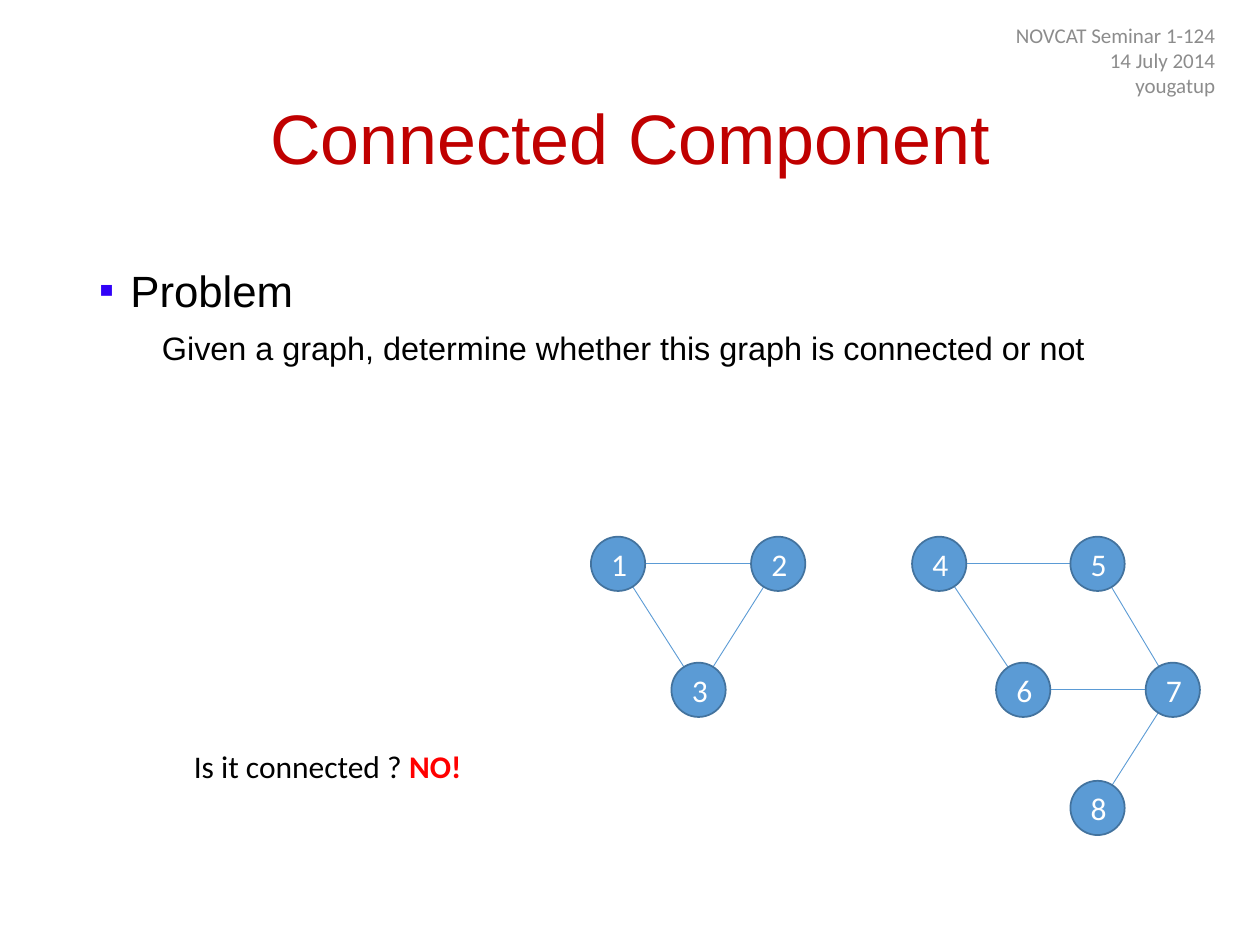
from lxml.etree import SubElement
from pptx import Presentation
from pptx.dml.color import RGBColor
from pptx.enum.shapes import MSO_CONNECTOR as CONN, MSO_SHAPE as SHAPE
from pptx.enum.text import MSO_ANCHOR as ANCHOR, PP_ALIGN as ALIGN
from pptx.oxml.ns import qn
from pptx.util import Pt

RED = RGBColor(0xC0, 0x00, 0x00)
BRIGHT_RED = RGBColor(0xFF, 0x00, 0x00)
BLACK = RGBColor(0x00, 0x00, 0x00)
WHITE = RGBColor(0xFF, 0xFF, 0xFF)
GRAY = RGBColor(0x8C, 0x8C, 0x8C)
BLUE = RGBColor(0x5B, 0x9B, 0xD5)
DARK_BLUE = RGBColor(0x43, 0x73, 0x9E)
BULLET = RGBColor(0x31, 0x02, 0xF8)

NODE_SIZE = 31
TOP, MIDDLE, BOTTOM = 15.5, 87.5, 155
NODES = {
    "1": (15.5, TOP), "2": (107, TOP), "3": (61.5, MIDDLE),
    "4": (199, TOP), "5": (289.5, TOP), "6": (247, MIDDLE),
    "7": (332.5, MIDDLE), "8": (289.5, BOTTOM),
}
EDGES = ["12", "13", "32", "45", "46", "67", "57", "78"]


def add_text(p, text, size=18, color=BLACK, font="Calibri", bold=False):
    """Append a formatted run to a paragraph."""
    r = p.add_run()
    r.text = text
    r.font.size = Pt(size)
    r.font.name = font
    r.font.bold = bold
    r.font.color.rgb = color


def add_box(s, x, y, w, h, anchor=ANCHOR.TOP, wrap=True):
    """Add an empty text box and return its text frame."""
    tf = s.shapes.add_textbox(Pt(x), Pt(y), Pt(w), Pt(h)).text_frame
    tf.word_wrap = wrap
    tf.vertical_anchor = anchor
    return tf


def set_bullet(p, char, color, indent):
    """Give a paragraph a coloured hanging bullet."""
    pPr = p._p.get_or_add_pPr()
    pPr.set("marL", str(Pt(indent)))
    pPr.set("indent", str(-Pt(indent)))
    clr = SubElement(pPr, qn("a:buClr"))
    SubElement(clr, qn("a:srgbClr")).set("val", str(color))
    SubElement(pPr, qn("a:buFont")).set("typeface", "Arial")
    SubElement(pPr, qn("a:buChar")).set("char", char)


def add_title(s, x, y, w, h):
    """Place the centred slide title."""
    p = add_box(s, x, y, w, h, ANCHOR.MIDDLE).paragraphs[0]
    p.alignment = ALIGN.CENTER
    p.line_spacing = 0.9
    add_text(p, "Connected Component", size=40, color=RED, font="Arial")


def add_header(s, x, y, w, h):
    """Place the right-aligned seminar details."""
    tf = add_box(s, x, y, w, h, ANCHOR.MIDDLE)
    lines = ["NOVCAT Seminar 1-124", "14 July 2014", "yougatup"]
    for i, line in enumerate(lines):
        p = tf.add_paragraph() if i else tf.paragraphs[0]
        p.alignment = ALIGN.RIGHT
        add_text(p, line, size=12, color=GRAY)


def add_problem(s, x, y, w, h):
    """Place the problem heading and its statement."""
    tf = add_box(s, x, y, w, h)
    heading, statement = tf.paragraphs[0], tf.add_paragraph()
    for p, before in ((heading, 10), (statement, 5)):
        p.line_spacing = 1.1
        p.space_before = Pt(before)
    set_bullet(heading, "▪", BULLET, 18)
    add_text(heading, "Problem", size=25, font="Arial")
    statement._p.get_or_add_pPr().set("marL", str(Pt(36)))
    add_text(statement, "Given a graph, determine whether this graph is connected or not",
             size=18.5, font="Arial")


def add_edge(s, x1, y1, x2, y2):
    """Draw a thin edge between two points."""
    c = s.shapes.add_connector(CONN.STRAIGHT, Pt(x1), Pt(y1), Pt(x2), Pt(y2))
    c.line.color.rgb = BLUE
    c.line.width = Pt(0.5)
    SubElement(c._element.spPr, qn("a:effectLst"))


def add_node(s, cx, cy, label):
    """Draw a labelled node around its centre."""
    sp = s.shapes.add_shape(SHAPE.OVAL, Pt(cx - NODE_SIZE / 2), Pt(cy - NODE_SIZE / 2),
                            Pt(NODE_SIZE), Pt(NODE_SIZE))
    sp.shadow.inherit = False
    sp.fill.solid()
    sp.fill.fore_color.rgb = BLUE
    sp.line.color.rgb = DARK_BLUE
    sp.line.width = Pt(1)
    sp.text_frame.vertical_anchor = ANCHOR.MIDDLE
    p = sp.text_frame.paragraphs[0]
    p.alignment = ALIGN.CENTER
    add_text(p, label, color=WHITE)


def add_graph(s, x, y):
    """Draw the edges, then the nodes over them."""
    centers = {n: (x + dx, y + dy) for n, (dx, dy) in NODES.items()}
    for start, end in EDGES:
        add_edge(s, *centers[start], *centers[end])
    for label, center in centers.items():
        add_node(s, *center, label)


def add_question(s, x, y, w, h):
    """Place the question and its answer."""
    p = add_box(s, x, y, w, h, wrap=False).paragraphs[0]
    add_text(p, "Is it connected ? ")
    add_text(p, "NO!", color=BRIGHT_RED, bold=True)


def main():
    """Build and save the slide."""
    prs = Presentation()
    prs.slide_width, prs.slide_height = Pt(720), Pt(540)
    s = prs.slides.add_slide(prs.slide_layouts[6])
    add_title(s, 49.5, 28.8, 621, 104.4)
    add_problem(s, 49.5, 144, 657, 343)
    add_header(s, 539.5, 14.4, 162, 39.6)
    add_graph(s, 337.7, 306.7)
    add_question(s, 103.7, 423.4, 168.5, 29)
    prs.save("out.pptx")


if __name__ == "__main__":
    main()
